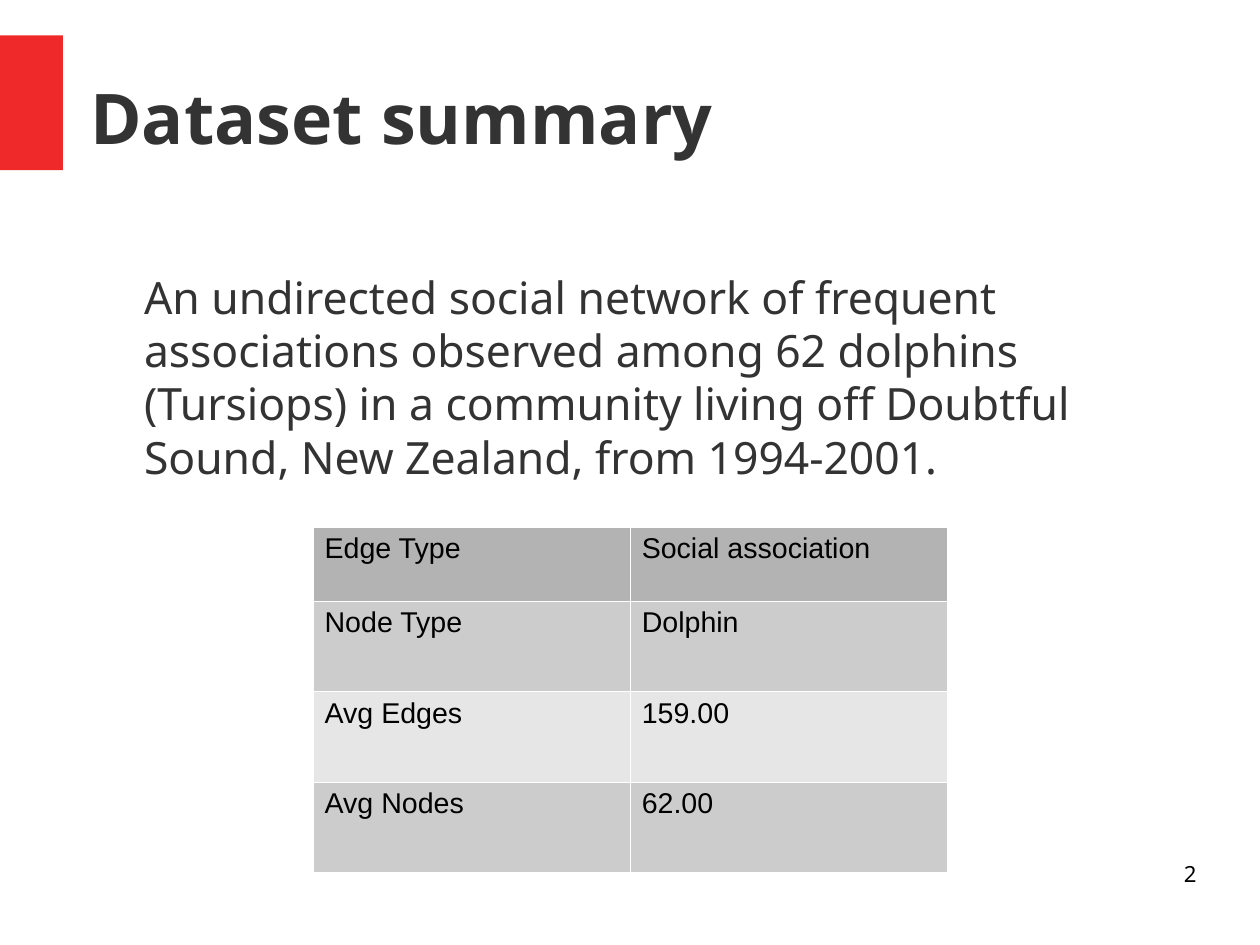
from dataclasses import dataclass

from pptx import Presentation
from pptx.dml.color import RGBColor as RGB
from pptx.enum.shapes import MSO_SHAPE as Shape
from pptx.enum.text import MSO_ANCHOR as Anchor, MSO_AUTO_SIZE as Fit, PP_ALIGN as Align
from pptx.oxml import parse_xml
from pptx.oxml.ns import nsdecls
from pptx.util import Cm, Inches, Pt


@dataclass(frozen=True)
class Theme:
    sans: str = "Noto Sans"
    grid: str = "Arial"
    ink: str = "333333"
    black: str = "000000"
    white: str = "FFFFFF"
    red: str = "EF2929"
    head: str = "B3B3B3"
    bands: tuple = ("CCCCCC", "E6E6E6")
    title: int = 44
    body: int = 28
    cell: int = 18
    page: int = 14
    rule: float = 0.06


class Deck:
    def __init__(self, theme, width, height):
        self.theme = theme
        self.prs = Presentation()
        self.prs.slide_width = width
        self.prs.slide_height = height
        self.slide = self.prs.slides.add_slide(self.prs.slide_layouts[1])

    def style(self, para, size, color, face=None, bold=False, align=Align.LEFT):
        font = para.font
        font.name = face or self.theme.sans
        font.size = Pt(size)
        font.bold = bold
        font.color.rgb = RGB.from_string(color)
        para.alignment = align

    def frame(self, shape, text, box, anchor=Anchor.TOP):
        shape.left, shape.top, shape.width, shape.height = map(Inches, box)
        tf = shape.text_frame
        tf.margin_left = tf.margin_right = tf.margin_top = tf.margin_bottom = 0
        tf.word_wrap = True
        tf.auto_size = Fit.NONE
        tf.vertical_anchor = anchor
        tf.text = text
        return tf.paragraphs[0]

    def title(self, text, box):
        para = self.frame(self.slide.shapes.title, text, box, Anchor.MIDDLE)
        self.style(para, self.theme.title, self.theme.ink, bold=True)

    def body(self, text, box, indent):
        para = self.frame(self.slide.placeholders[1], text, box)
        self.style(para, self.theme.body, self.theme.ink)
        para.space_before = Pt(0)
        para.space_after = Pt(14.1)
        # Indented text without a bullet
        props = para._p.get_or_add_pPr()
        props.set("marL", str(Inches(indent)))
        props.set("indent", "0")
        props.append(parse_xml(f"<a:buNone {nsdecls('a')}/>"))

    def bar(self, box):
        bar = self.slide.shapes.add_shape(Shape.RECTANGLE, *map(Inches, box))
        bar.shadow.inherit = False
        bar.fill.solid()
        bar.fill.fore_color.rgb = RGB.from_string(self.theme.red)
        bar.line.fill.background()

    def page(self, text, box):
        label = self.slide.shapes.add_textbox(*map(Inches, box))
        para = self.frame(label, text, box)
        self.style(para, self.theme.page, self.theme.black, align=Align.RIGHT)

    def border(self, cell):
        props = cell._tc.get_or_add_tcPr()
        for i, side in enumerate(("lnL", "lnR", "lnT", "lnB")):
            props.insert(i, parse_xml(
                f'<a:{side} {nsdecls("a")} w="{Pt(self.theme.rule)}"><a:solidFill>'
                f'<a:srgbClr val="{self.theme.white}"/></a:solidFill></a:{side}>'))

    def table(self, data, left, top, width, heights):
        cols = len(data[0])
        table = self.slide.shapes.add_table(
            len(data), cols, Inches(left), Inches(top),
            Inches(width), Inches(sum(heights))).table
        table.first_row = table.horz_banding = False
        for r, (row, height) in enumerate(zip(data, heights)):
            table.rows[r].height = Inches(height)
            fill = self.theme.bands[(r - 1) % 2] if r else self.theme.head
            for c, text in enumerate(row):
                cell = table.cell(r, c)
                cell.text = text
                cell.fill.solid()
                cell.fill.fore_color.rgb = RGB.from_string(fill)
                self.style(cell.text_frame.paragraphs[0], self.theme.cell,
                           self.theme.black, self.theme.grid)
                self.border(cell)


def main():
    deck = Deck(Theme(), Cm(28), Cm(21))

    # Heading with red accent
    deck.bar((0, 0.31, 0.55, 1.18))
    deck.title("Dataset summary", (0.79, 0.33, 9.68, 1.38))

    # Description
    deck.body("An undirected social network of frequent associations observed "
              "among 62 dolphins (Tursiops) in a community living off Doubtful "
              "Sound, New Zealand, from 1994-2001.", (0.79, 2.36, 9.45, 4.8), 0.47)

    # Key figures
    facts = [("Edge Type", "Social association"), ("Node Type", "Dolphin"),
             ("Avg Edges", "159.00"), ("Avg Nodes", "62.00")]
    deck.table(facts, 2.74, 4.61, 5.55, [0.65] + [0.79] * 3)

    # Page number
    deck.page("2", (7.9, 7.53, 2.57, 0.57))
    deck.prs.save("out.pptx")


if __name__ == "__main__":
    main()
